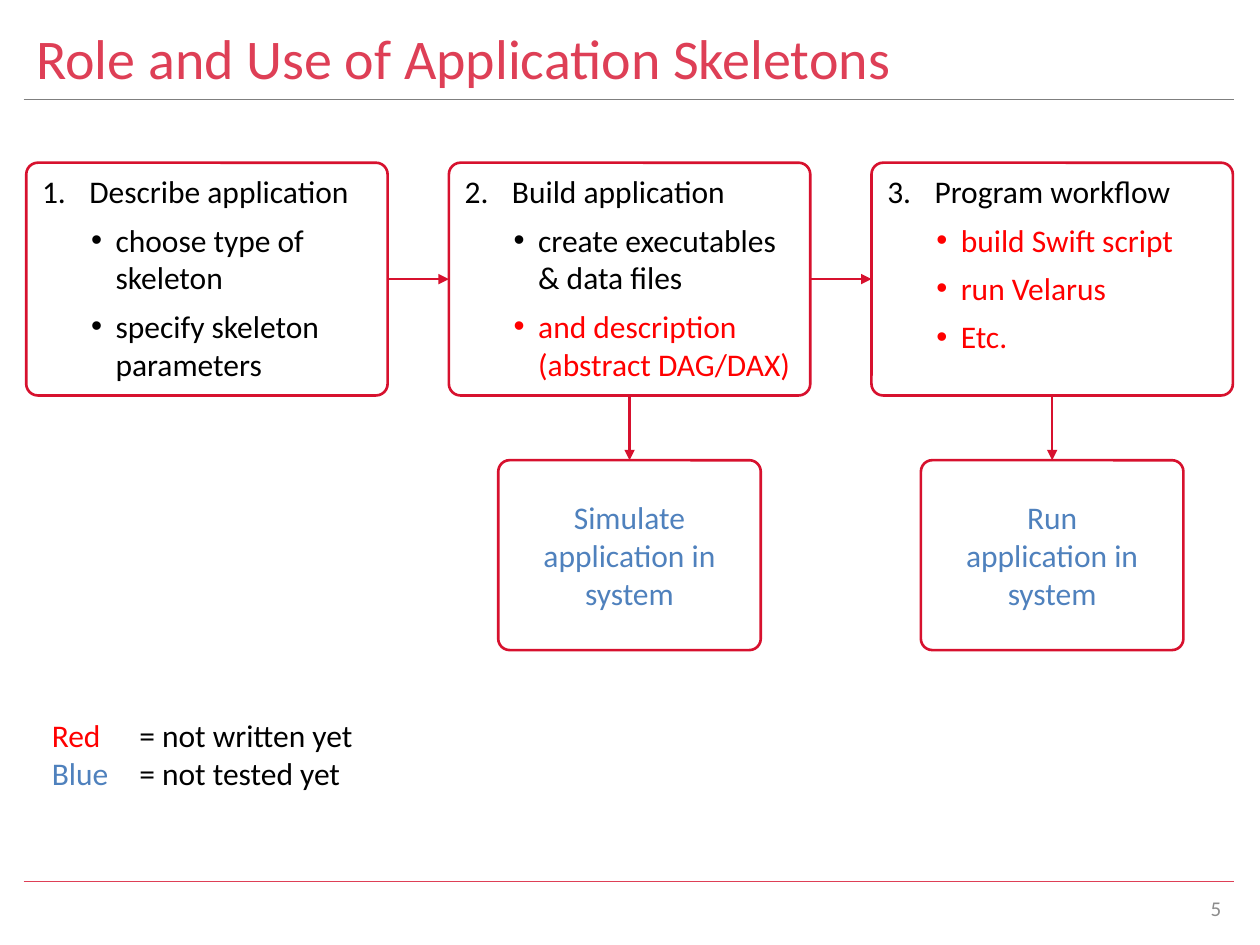
from lxml import etree
from pptx import Presentation
from pptx.dml.color import RGBColor
from pptx.enum import shapes, text
from pptx.oxml import ns
from pptx.util import Pt

COLORS = {
    "title": "DE3F56", "top_rule": "7F7F7F", "border": "D7112E", "paper": "FFFFFF",
    "plain": "000000", "unwritten": "FF0000", "untested": "4F81BD", "number": "8C8C8C",
}
ALIGN = text.PP_ALIGN
ANCHOR = text.MSO_ANCHOR
STEPS = [
    ("Describe application", [("choose type of skeleton", "plain"),
                              ("specify skeleton parameters", "plain")]),
    ("Build application", [("create executables & data files", "plain"),
                           ("and description (abstract DAG/DAX)", "unwritten")]),
    ("Program workflow", [("build Swift script", "unwritten"),
                          ("run Velarus", "unwritten"), ("Etc.", "unwritten")]),
]
OUTCOMES = {1: ["Simulate application in system"], 2: ["Run", "application in system"]}
LEGEND = [("Red", "unwritten", "= not written yet"), ("Blue", "untested", "= not tested yet")]
STEP_LEFT, STEP_TOP, STEP_PITCH, STEP_WIDTH, STEP_HEIGHT = 15, 93, 241.5, 206.5, 133
OUTCOME_TOP, OUTCOME_WIDTH, OUTCOME_HEIGHT = 263, 150, 108.5


def rgb(key):
    """Return the named colour."""
    return RGBColor.from_string(COLORS[key])


def add_element(parent, tag, **attributes):
    """Append a drawing element to its parent and return it."""
    return etree.SubElement(parent, ns.qn(tag), attributes)


def write(paragraph, words, color, size=18, **formats):
    """Add a run to a paragraph and apply paragraph formats."""
    run = paragraph.add_run()
    run.text = words
    for name, value in {"name": "Calibri", "size": Pt(size)}.items():
        setattr(run.font, name, value)
    run.font.color.rgb = rgb(color)
    for name, value in formats.items():
        setattr(paragraph, name, value)


def next_paragraph(frame, index):
    """Return the first paragraph or a new one."""
    return frame.add_paragraph() if index else frame.paragraphs[0]


def add_label(slide, box, anchor=ANCHOR.TOP):
    """Add a wrapping text box and return its frame."""
    frame = slide.shapes.add_textbox(*map(Pt, box)).text_frame
    for name, value in {"word_wrap": True, "vertical_anchor": anchor}.items():
        setattr(frame, name, value)
    return frame


def add_card(slide, box, rounding, anchor):
    """Add a white rounded card with a red border."""
    card = slide.shapes.add_shape(shapes.MSO_SHAPE.ROUNDED_RECTANGLE, *map(Pt, box))
    card.adjustments[0] = rounding
    card.shadow.inherit = False
    card.fill.solid()
    card.fill.fore_color.rgb = rgb("paper")
    card.line.color.rgb = rgb("border")
    card.line.width = Pt(1.5)
    for name, value in {"word_wrap": True, "vertical_anchor": anchor}.items():
        setattr(card.text_frame, name, value)
    return card


def add_line(slide, start, end, color, width):
    """Add a straight line without a shadow."""
    line = slide.shapes.add_connector(shapes.MSO_CONNECTOR.STRAIGHT, *map(Pt, start + end))
    line.line.color.rgb = rgb(color)
    line.line.width = Pt(width)
    add_element(line._element.spPr, "a:effectLst")
    return line


def add_arrow(slide, source, source_side, target, target_side):
    """Join two cards by an arrow."""
    arrow = add_line(slide, (0, 0), (0, 0), "border", 1.5)
    arrow.begin_connect(source, source_side)
    arrow.end_connect(target, target_side)
    add_element(arrow.line._get_or_add_ln(), "a:tailEnd", type="triangle")


def set_bullet(paragraph, margin, hanging, tag, **attributes):
    """Give a paragraph a hanging bullet or number."""
    paragraph.space_before = Pt(6)
    properties = paragraph._p.get_or_add_pPr()
    properties.set("marL", str(Pt(margin)))
    properties.set("indent", str(-Pt(hanging)))
    add_element(properties, "a:buFont", typeface="Arial" if tag == "a:buChar" else "+mj-lt")
    add_element(properties, tag, **attributes)


def add_step(slide, box, number, heading, tasks):
    """Add a numbered step card with its tasks."""
    card = add_card(slide, box, 0.05, ANCHOR.TOP)
    title = card.text_frame.paragraphs[0]
    write(title, heading, "plain", alignment=ALIGN.LEFT)
    set_bullet(title, 27, 27, "a:buAutoNum", type="arabicPeriod", startAt=str(number))
    for task, color in tasks:
        paragraph = card.text_frame.add_paragraph()
        write(paragraph, task, color, alignment=ALIGN.LEFT)
        set_bullet(paragraph, 42, 14, "a:buChar", char="•")
    return card


def add_outcome(slide, box, lines):
    """Add a centred outcome card."""
    card = add_card(slide, box, 0.06, ANCHOR.MIDDLE)
    for index, line in enumerate(lines):
        write(next_paragraph(card.text_frame, index), line, "untested", alignment=ALIGN.CENTER)
    return card


def add_workflow(slide, left, top):
    """Add the row of steps, their outcomes and the arrows."""
    previous = None
    for index, (heading, tasks) in enumerate(STEPS):
        x = left + index * STEP_PITCH
        step = add_step(slide, (x, top, STEP_WIDTH, STEP_HEIGHT), index + 1, heading, tasks)
        if previous:
            add_arrow(slide, previous, 3, step, 1)
        if index in OUTCOMES:
            outcome_left = x + (STEP_WIDTH - OUTCOME_WIDTH) / 2
            outcome = add_outcome(
                slide, (outcome_left, OUTCOME_TOP, OUTCOME_WIDTH, OUTCOME_HEIGHT), OUTCOMES[index])
            add_arrow(slide, step, 2, outcome, 0)
        previous = step


def add_legend(slide, box):
    """Add the colour key with tabbed meanings."""
    frame = add_label(slide, box)
    for index, (word, color, meaning) in enumerate(LEGEND):
        paragraph = next_paragraph(frame, index)
        write(paragraph, word, color)
        write(paragraph, "\t" + meaning, "plain")
        tabs = add_element(paragraph._p.get_or_add_pPr(), "a:tabLst")
        add_element(tabs, "a:tab", pos=str(Pt(50)), algn="l")


def add_frame(slide, left, right):
    """Add the title, the two rules and the slide number."""
    for y, color in ((57, "top_rule"), (503.5, "title")):
        add_line(slide, (left, y), (right, y), color, 0.5)
    title = add_label(slide, (left, 9.5, right - left, 46), ANCHOR.MIDDLE)
    write(title.paragraphs[0], "Role and Use of Application Skeletons", "title", 32)
    number = add_label(slide, (right - 31, 505, 31, 28), ANCHOR.MIDDLE)
    write(number.paragraphs[0], "5", "number", 12, alignment=ALIGN.RIGHT)


def main():
    """Build and save the slide."""
    deck = Presentation()
    deck.slide_width, deck.slide_height = Pt(720), Pt(540)
    slide = deck.slides.add_slide(deck.slide_layouts[6])
    add_frame(slide, 13.5, 705)
    add_workflow(slide, STEP_LEFT, STEP_TOP)
    add_legend(slide, (22.5, 405.5, 190, 51))
    deck.save("out.pptx")


if __name__ == "__main__":
    main()
